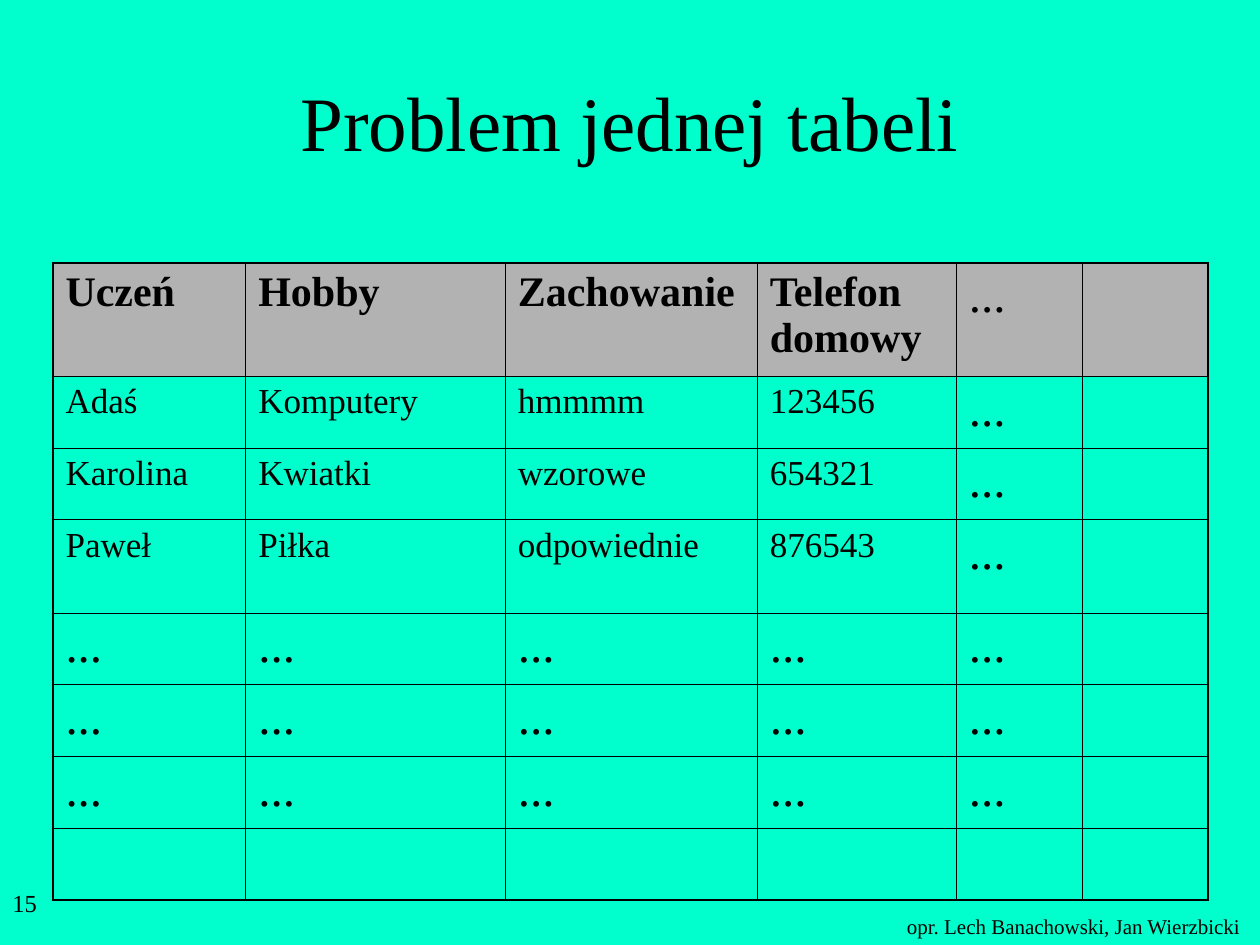
from lxml import etree
from pptx import Presentation
from pptx.dml.color import RGBColor
from pptx.enum.text import MSO_ANCHOR, MSO_AUTO_SIZE, PP_ALIGN
from pptx.oxml.ns import qn
from pptx.util import Inches, Pt

CENTER = PP_ALIGN.CENTER
MIDDLE = MSO_ANCHOR.MIDDLE
NO_AUTOFIT = MSO_AUTO_SIZE.NONE

COLORS = {"background": "00FFCC", "text": "000000", "header": "B2B2B2", "border": "000000"}
FONT = "Times New Roman"
TITLE_ONLY = 5
INNER_LINE, OUTER_LINE = 0.45, 1.08
HEADER_SIZE, BODY_SIZE, DOTS_SIZE = 24, 20, 28

DOTS = "..."
COLUMN_WIDTHS = [1.53, 2.06, 2, 1.58, 1, 1]
ROW_HEIGHTS = [0.9, 0.57, 0.57, 0.74] + [0.57] * 4
PUPILS = [
    ["Uczeń", "Hobby", "Zachowanie", "Telefon domowy", DOTS, ""],
    ["Adaś", "Komputery", "hmmmm", "123456", DOTS, ""],
    ["Karolina", "Kwiatki", "wzorowe", "654321", DOTS, ""],
    ["Paweł", "Piłka", "odpowiednie", "876543", DOTS, ""],
    *[[DOTS] * 5 + [""] for _ in range(3)],
    [""] * 6,
]


class Deck:
    def __init__(self, width, height):
        self.presentation = Presentation()
        self.presentation.slide_width = Inches(width)
        self.presentation.slide_height = Inches(height)
        self.size = (width, height)
        layout = self.presentation.slide_layouts[TITLE_ONLY]
        self.slide = self.presentation.slides.add_slide(layout)
        background = self.slide.background.fill
        background.solid()
        background.fore_color.rgb = RGBColor.from_string(COLORS["background"])

    def place(self, left, top, width, height):
        across, down = self.size
        return [Inches(share * length) for share, length in
                zip((left, top, width, height), (across, down, across, down))]

    def set_text(self, frame, words, size, bold=False):
        frame.text = words
        paragraph = frame.paragraphs[0]
        paragraph.font.name = FONT
        paragraph.font.size = Pt(size)
        paragraph.font.bold = bold
        paragraph.font.color.rgb = RGBColor.from_string(COLORS["text"])
        return paragraph

    def title(self, words, box, size):
        heading = self.slide.shapes.title
        heading.left, heading.top, heading.width, heading.height = self.place(*box)
        frame = heading.text_frame
        frame.auto_size = NO_AUTOFIT
        frame.vertical_anchor = MIDDLE
        self.set_text(frame, words, size).alignment = CENTER

    def label(self, words, box, size, wrap=True):
        frame = self.slide.shapes.add_textbox(*self.place(*box)).text_frame
        frame.word_wrap = wrap
        self.set_text(frame, words, size)

    def border(self, cell, side, points):
        line = etree.SubElement(cell._tc.get_or_add_tcPr(), qn(f"a:ln{side}"), w=str(Pt(points)))
        fill = etree.SubElement(line, qn("a:solidFill"))
        etree.SubElement(fill, qn("a:srgbClr"), val=COLORS["border"])

    def table(self, rows, widths, heights, left, top):
        across, down = self.size
        box = self.place(left, top, sum(widths) / across, sum(heights) / down)
        grid = self.slide.shapes.add_table(len(rows), len(widths), *box).table
        grid.horz_banding = False
        for column, width in zip(grid.columns, widths):
            column.width = Inches(width)
        for row, height in zip(grid.rows, heights):
            row.height = Inches(height)
        last_row, last_column = len(rows) - 1, len(widths) - 1
        for r, words_in_row in enumerate(rows):
            for c, words in enumerate(words_in_row):
                cell = grid.cell(r, c)
                edges = {"L": c == 0, "R": c == last_column, "T": r == 0, "B": r == last_row}
                for side, outer in edges.items():
                    self.border(cell, side, OUTER_LINE if outer else INNER_LINE)
                if r == 0:
                    cell.fill.solid()
                    cell.fill.fore_color.rgb = RGBColor.from_string(COLORS["header"])
                else:
                    cell.fill.background()
                size = DOTS_SIZE if words == DOTS else BODY_SIZE if r else HEADER_SIZE
                self.set_text(cell.text_frame, words, size, bold=r == 0 and words != DOTS)


def main():
    deck = Deck(10, 7.5)
    deck.label("opr. Lech Banachowski, Jan Wierzbicki", (0.71, 0.96, 0.29, 0.04), 12, wrap=False)
    deck.title("Problem jednej tabeli", (0.075, 0.044, 0.85, 0.167), 44)
    deck.table(PUPILS, COLUMN_WIDTHS, ROW_HEIGHTS, 0.042, 0.278)
    deck.label("15", (0, 0.933, 0.208, 0.067), 14)
    deck.presentation.save("out.pptx")


if __name__ == "__main__":
    main()
